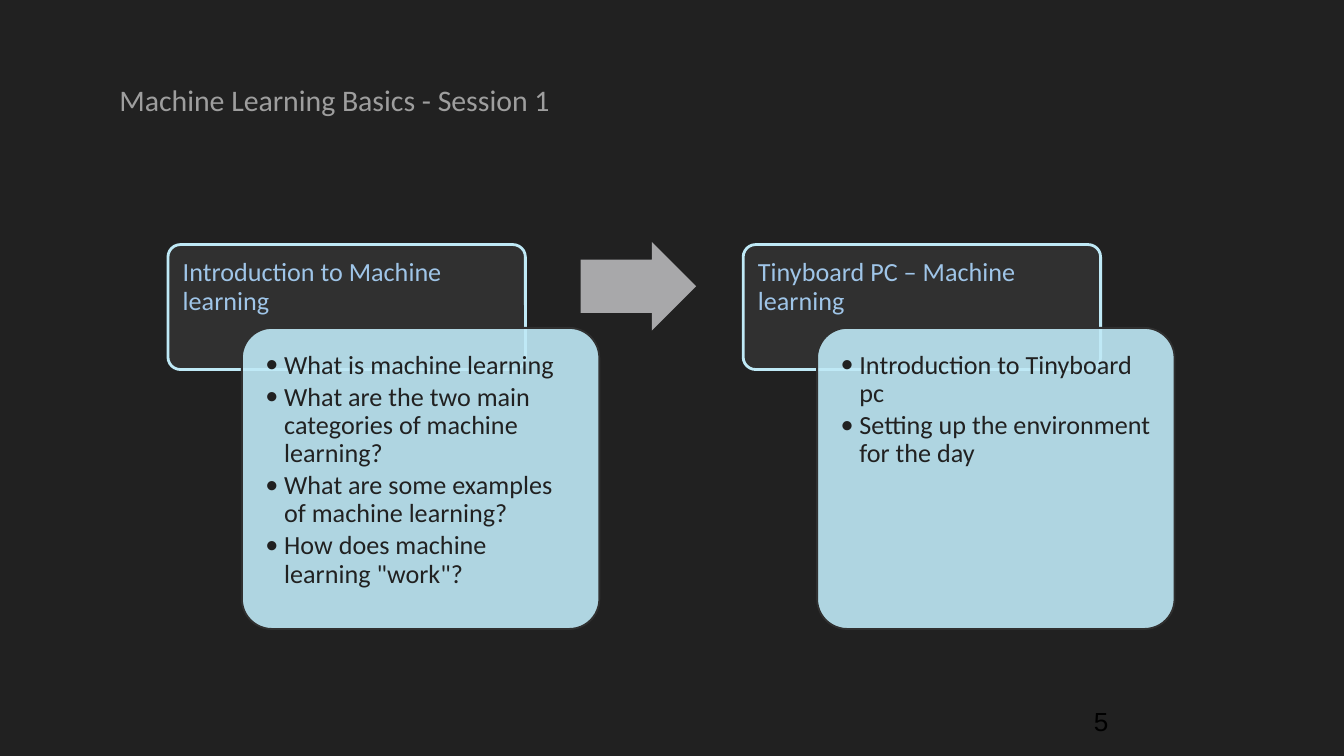
from lxml import etree
from pptx import Presentation
from pptx.dml.color import RGBColor
from pptx.enum.shapes import MSO_SHAPE
from pptx.oxml.ns import qn
from pptx.util import Inches, Pt

ROUNDED = MSO_SHAPE.ROUNDED_RECTANGLE
ARROW = MSO_SHAPE.RIGHT_ARROW
DARK, PANEL, ICE, SKY = "212121", "303030", "BFE9F6", "9FC5E8"
GREY, SILVER, BLACK = "9E9E9E", "A8A8AA", "000000"

SESSIONS = [
    ("Introduction to Machine learning", [
        "What is machine learning",
        "What are the two main categories of machine learning?",
        "What are some examples of machine learning?",
        'How does machine learning "work"?',
    ]),
    ("Tinyboard PC – Machine learning", [
        "Introduction to Tinyboard pc",
        "Setting up the environment for the day",
    ]),
]


def color(hex_text):
    return RGBColor.from_string(hex_text)


class SlideBuilder:
    """Draws on one 16:9 slide; lengths are cells of a grid 100 columns wide."""

    def __init__(self, width=10, font="Calibri"):
        self.deck = Presentation()
        self.deck.slide_width = Inches(width)
        self.deck.slide_height = Inches(width * 9 / 16)
        self.cell = Inches(width) / 100
        self.font = font
        self.page = self.deck.slides.add_slide(self.deck.slide_layouts[6])
        background = self.page.background.fill
        background.solid()
        background.fore_color.rgb = color(DARK)

    def cells(self, *lengths):
        return [round(length * self.cell) for length in lengths]

    def shape(self, kind, place, fill, line=None, width=1, adjust=(0.1,), opacity=None):
        shape = self.page.shapes.add_shape(kind, *self.cells(*place))
        shape.shadow.inherit = False
        for index, value in enumerate(adjust):
            shape.adjustments[index] = value
        shape.fill.solid()
        shape.fill.fore_color.rgb = color(fill)
        if opacity:
            tone = shape.fill._xPr.find(f".//{qn('a:srgbClr')}")
            etree.SubElement(tone, qn("a:alpha"), val=str(opacity * 1000))
        if line:
            shape.line.color.rgb = color(line)
            shape.line.width = Pt(width)
        else:
            shape.line.fill.background()

    def text(self, place, lines, tone, size=14, font=None, bullets=False,
             spacing=None, insets=(1, 1, 1, 1)):
        box = self.page.shapes.add_textbox(*self.cells(*place))
        frame = box.text_frame
        frame.word_wrap = True
        (frame.margin_left, frame.margin_top,
         frame.margin_right, frame.margin_bottom) = self.cells(*insets)
        for index, line in enumerate(lines):
            para = frame.add_paragraph() if index else frame.paragraphs[0]
            if bullets:
                self.bullet(para, tone)
            if spacing:
                para.line_spacing = spacing
            if index:
                para.space_before = Pt(2)
            span = para.add_run()
            span.text = line
            span.font.name = font or self.font
            span.font.size = Pt(size)
            span.font.color.rgb = color(tone)

    def bullet(self, para, tone):
        para.level = 1
        properties = para._p.get_or_add_pPr()
        indent = self.cells(1.4)[0]
        properties.set("marL", str(indent))
        properties.set("indent", str(-indent))
        bullet_color = etree.SubElement(properties, qn("a:buClr"))
        etree.SubElement(bullet_color, qn("a:srgbClr"), val=tone)
        etree.SubElement(properties, qn("a:buFont"), typeface=self.font)
        etree.SubElement(properties, qn("a:buChar"), char="•")

    def session(self, left, heading, topics):
        """Draws a heading panel with its topic card overlapping it."""
        top, width = 18.2, 26.6
        self.shape(ROUNDED, (left, top, width, 9.3), PANEL, ICE, 1.5)
        self.text((left, top, width, 6.2), [heading], SKY, spacing=0.9,
                  insets=(1.1, 1.1, 1.1, 0.6))
        card_left, card_top, card_height, pad = left + 5.5, top + 6.2, 22.4, 0.65
        self.shape(ROUNDED, (card_left, card_top, width, card_height), ICE, PANEL, opacity=90)
        self.text((card_left + pad, card_top + pad, width - 2 * pad, card_height - 2 * pad),
                  topics, DARK, bullets=True, spacing=0.9, insets=(1.1,) * 4)


def main():
    slide = SlideBuilder()
    first_left, step = 12.5, 42.8
    for index, (heading, topics) in enumerate(SESSIONS):
        slide.session(first_left + index * step, heading, topics)
    slide.shape(ARROW, (43.2, 18, 8.6, 6.6), SILVER, adjust=(0.6, 0.5))
    slide.text((7.9, 5.1, 60, 7), ["Machine Learning Basics - Session 1"], GREY, size=16)
    slide.text((80.4, 51.5, 6, 4.2), ["5"], BLACK, font="Arial")
    slide.deck.save("out.pptx")


if __name__ == "__main__":
    main()
